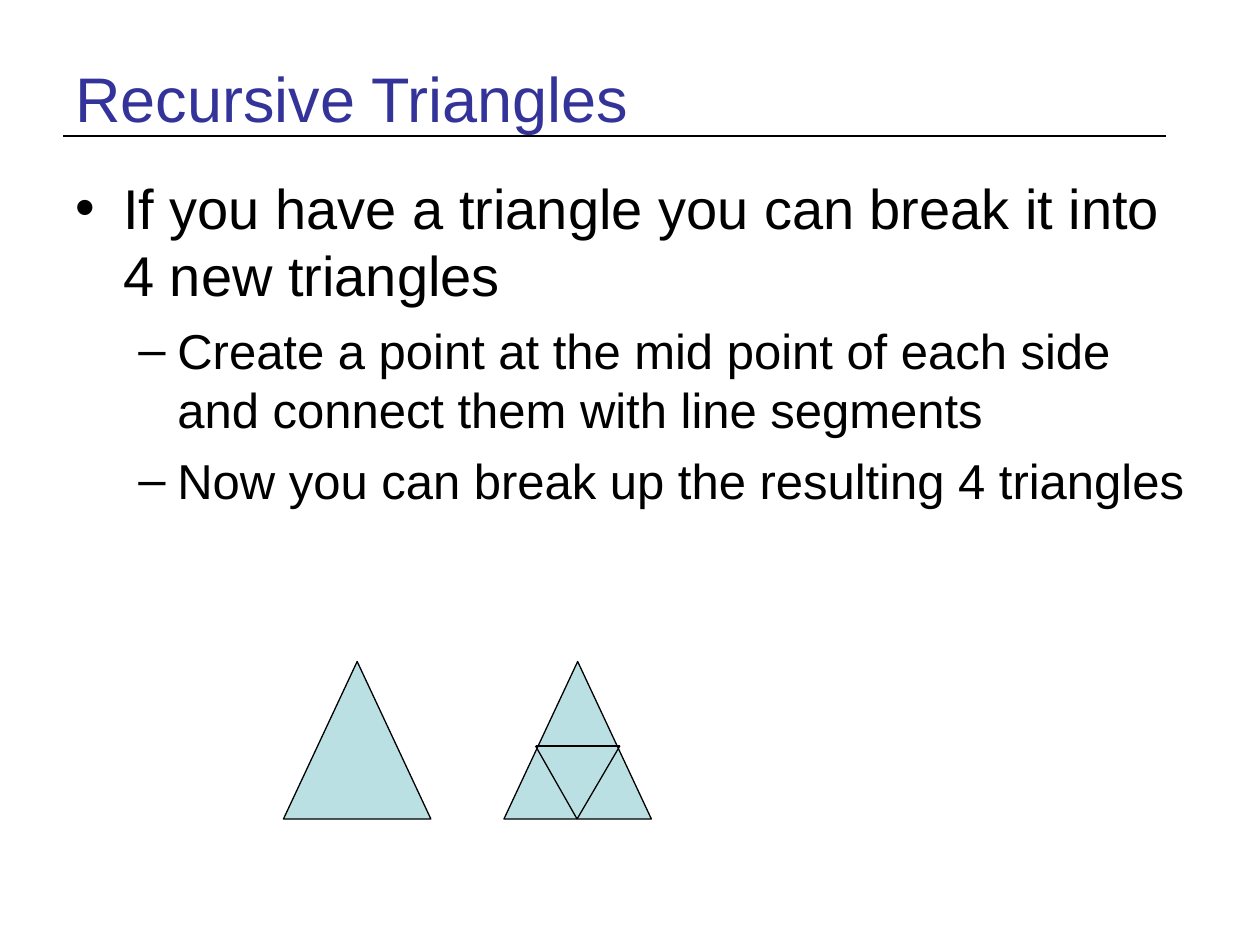
from lxml import etree
from pptx import Presentation
from pptx.dml.color import RGBColor
from pptx.enum.shapes import MSO_CONNECTOR, MSO_SHAPE
from pptx.enum.text import MSO_ANCHOR
from pptx.oxml.ns import qn
from pptx.util import Inches, Pt

LINE = MSO_CONNECTOR.STRAIGHT
TRIANGLE = MSO_SHAPE.ISOSCELES_TRIANGLE
TOP, MIDDLE = MSO_ANCHOR.TOP, MSO_ANCHOR.MIDDLE
BLACK, BLUE, TEAL = "000000", "333399", "BBE0E3"


def paint(form, color):
    form.solid()
    form.fore_color.rgb = RGBColor.from_string(color)


def write(para, text, size=32, color=BLACK, bullet=None, left=0, hang=0, before=0):
    if bullet:
        props = para._p.get_or_add_pPr()
        props.set("marL", str(Inches(left)))
        props.set("indent", str(Inches(-hang)))
        etree.SubElement(props, qn("a:buFont")).set("typeface", "Arial")
        etree.SubElement(props, qn("a:buChar")).set("char", bullet)
    para.space_before = Pt(before)
    run = para.add_run()
    run.text = text
    run.font.name = "Arial"
    run.font.size = Pt(size)
    paint(run.font.fill, color)


deck = Presentation()
deck.slide_width, deck.slide_height = Inches(10), Inches(7.5)
slide = deck.slides.add_slide(deck.slide_layouts[6])
shapes = slide.shapes

frames = []
for top, height, anchor in [(0.3, 0.95, MIDDLE), (1.33, 5.37, TOP)]:
    box = shapes.add_textbox(Inches(0.5), Inches(top), Inches(9), Inches(height))
    frame = box.text_frame
    frame.word_wrap = True
    frame.vertical_anchor = anchor
    frames.append(frame)

title, body = frames
write(title.paragraphs[0], "Recursive Triangles", size=36, color=BLUE)
write(body.paragraphs[0], "If you have a triangle you can break it into 4 new triangles",
      bullet="•", left=0.38, hang=0.38)
for text in [
    "Create a point at the mid point of each side and connect them with line segments",
    "Now you can break up the resulting 4 triangles",
]:
    write(body.add_paragraph(), text, size=28, bullet="–", left=0.81, hang=0.31, before=7)

for left in (2.25, 4):
    shape = shapes.add_shape(TRIANGLE, Inches(left), Inches(5.25), Inches(1.17), Inches(1.25))
    shape.shadow.inherit = False
    paint(shape.fill, TEAL)
    paint(shape.line.fill, BLACK)
    shape.line.width = Pt(0.75)

west, east, base = (4.25, 5.92), (4.92, 5.92), (4.58, 6.5)
for start, end, width in [
    ((0.5, 1.08), (9.25, 1.08), 1.5),
    (west, east, 0.75),
    (west, base, 0.75),
    (east, base, 0.75),
]:
    line = shapes.add_connector(LINE, *map(Inches, start + end))
    paint(line.line.fill, BLACK)
    line.line.width = Pt(width)
    etree.SubElement(line._element.spPr, qn("a:effectLst"))

deck.save("out.pptx")
